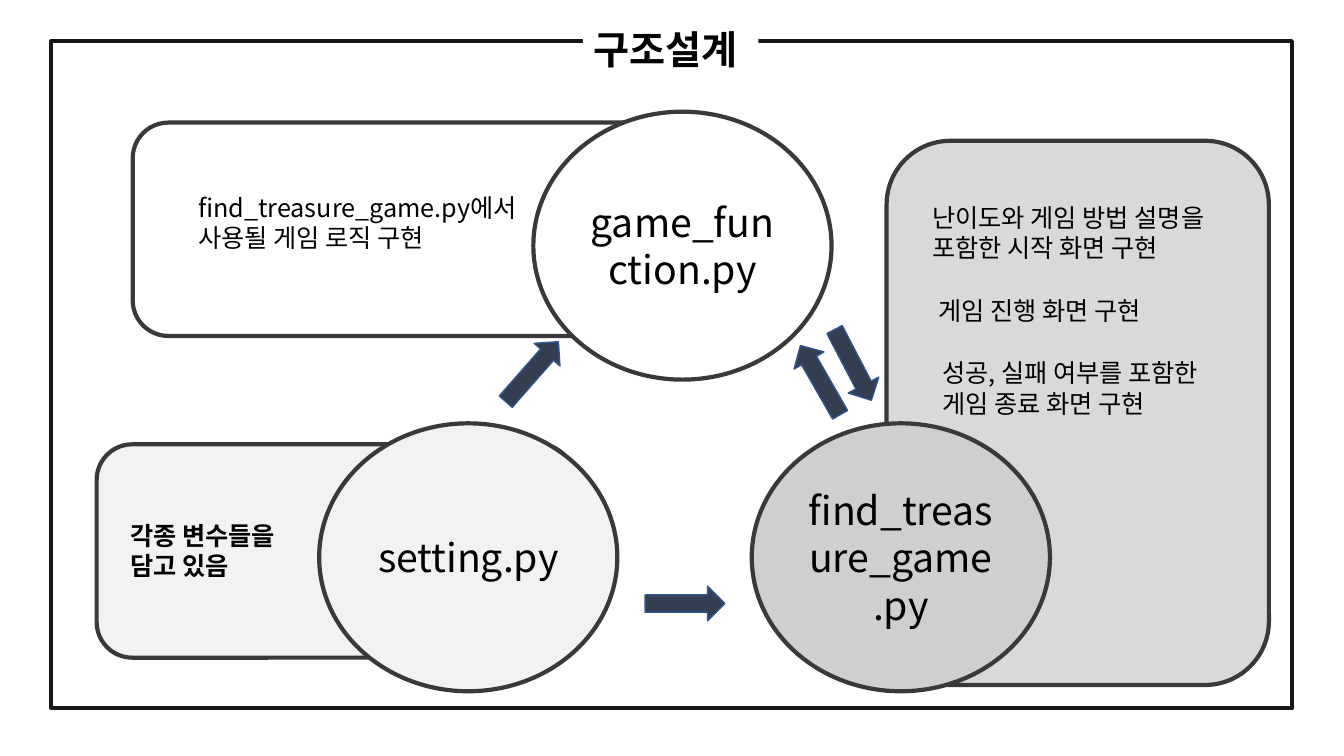
from lxml.etree import SubElement
from pptx import Presentation
from pptx.dml.color import RGBColor
from pptx.enum.shapes import MSO_SHAPE
from pptx.enum.text import MSO_ANCHOR, MSO_AUTO_SIZE, PP_ALIGN
from pptx.oxml.ns import qn
from pptx.util import Inches, Pt

COLUMNS, ROWS = 160, 90


def color(code):
    """Turn a hex string into a colour."""
    return RGBColor.from_string(code)


class Diagram:
    """Hold the style and the slide, and draw on a grid of columns and rows."""

    font = "Noto Sans CJK KR"
    ink, outline, frame_line = "000000", "3B3838", "181717"
    arrow_fill, arrow_line = "333F50", "325491"
    label_size, note_size = 28, 18
    circle_size, arrow_size = (35.5, 31.9), (9.5, 4.1)

    def __init__(self, deck):
        """Add a title-only slide to the deck."""
        self.page = deck.slides.add_slide(deck.slide_layouts[5])
        self.column = deck.slide_width / COLUMNS
        self.row = deck.slide_height / ROWS

    def place(self, left, top, width, height):
        """Convert grid units to slide lengths."""
        return (round(left * self.column), round(top * self.row),
                round(width * self.column), round(height * self.row))

    def add_lines(self, box, lines, size, align=PP_ALIGN.LEFT,
                  anchor=MSO_ANCHOR.TOP, bold=False):
        """Add one paragraph for each line."""
        frame = box.text_frame
        frame.word_wrap = True
        frame.auto_size = MSO_AUTO_SIZE.NONE
        frame.vertical_anchor = anchor
        for index, line in enumerate(lines):
            para = frame.add_paragraph() if index else frame.paragraphs[0]
            para.alignment = align
            para.line_spacing = 1.0
            para.space_before = Pt(0)
            span = para.add_run()
            span.text = line
            span.font.name = self.font
            span.font.size = Pt(size)
            span.font.bold = bold
            span.font.color.rgb = color(self.ink)
            east_asian = SubElement(span._r.get_or_add_rPr(), qn("a:ea"))
            east_asian.set("typeface", self.font)

    def shape(self, kind, area, fill, line, weight=3, turn=0):
        """Draw a preset shape, hollow when fill is None."""
        box = self.page.shapes.add_shape(kind, *self.place(*area))
        box.shadow.inherit = False
        box.rotation = turn
        if fill:
            box.fill.solid()
            box.fill.fore_color.rgb = color(fill)
        else:
            box.fill.background()
        box.line.color.rgb = color(line)
        box.line.width = Pt(weight)
        return box

    def panel(self, area, fill, turn=0):
        """Draw a rounded panel behind a module."""
        self.shape(MSO_SHAPE.ROUNDED_RECTANGLE, area, fill, self.outline, turn=turn)

    def module(self, left, top, fill, name):
        """Draw a circle with a module name."""
        circle = self.shape(MSO_SHAPE.OVAL, (left, top, *self.circle_size),
                            fill, self.outline)
        self.add_lines(circle, [name], self.label_size, PP_ALIGN.CENTER,
                       MSO_ANCHOR.MIDDLE)

    def arrow(self, left, top, turn):
        """Draw a block arrow turned by some degrees."""
        self.shape(MSO_SHAPE.RIGHT_ARROW, (left, top, *self.arrow_size),
                   self.arrow_fill, self.arrow_line, 1, turn)

    def note(self, area, lines, bold=False):
        """Add a text box."""
        box = self.page.shapes.add_textbox(*self.place(*area))
        self.add_lines(box, lines, self.note_size, bold=bold)

    def frame(self, area):
        """Draw the hollow border of the slide."""
        self.shape(MSO_SHAPE.RECTANGLE, area, None, self.frame_line)

    def title(self, area, text):
        """Set the title in front of the border."""
        box = self.page.shapes.title
        box.left, box.top, box.width, box.height = self.place(*area)
        box.fill.solid()
        box.fill.fore_color.rgb = color("FFFFFF")
        self.add_lines(box, [text], self.label_size, bold=True)
        self.page.shapes.element.append(box.element)


def main():
    """Build the structure design slide."""
    deck = Presentation()
    deck.slide_width, deck.slide_height = Inches(13.33), Inches(7.5)
    diagram = Diagram(deck)

    diagram.panel((95.9, 26.4, 64.8, 45.5), "D9D9D9", turn=270)
    diagram.panel((11.5, 52.9, 56.9, 25.4), "F2F2F2")
    diagram.panel((15.8, 14.6, 64.8, 25.4), "FFFFFF")

    diagram.module(38, 50.4, "F2F2F2", "setting.py")
    diagram.module(63.5, 13.3, "FFFFFF", "game_function.py")
    diagram.module(89.5, 50.4, "D0CECE", "find_treasure_game.py")

    for left, top, turn in [(58.6, 42.2, 311.3), (76.8, 69.8, 0),
                            (92.9, 43.2, 240.2), (96.8, 41.4, 62.5)]:
        diagram.arrow(left, top, turn)

    diagram.frame((6.1, 4.9, 147.7, 79.4))
    diagram.title((69.4, 2.4, 20.9, 6.8), "구조설계")

    diagram.note((14.3, 61.3, 22.2, 8.5), ["각종 변수들을", "담고 있음"], bold=True)
    diagram.note((109.8, 23.5, 40.1, 8.5),
                 ["난이도와 게임 방법 설명을", "포함한 시작 화면 구현"])
    diagram.note((110.5, 34.6, 39.8, 4.8), ["게임 진행 화면 구현"])
    diagram.note((111, 42, 47.3, 8.5),
                 ["성공, 실패 여부를 포함한", "게임 종료 화면 구현"])
    diagram.note((22.4, 22.3, 41.6, 8.5),
                 ["find_treasure_game.py에서", "사용될 게임 로직 구현"])
    deck.save("out.pptx")


if __name__ == "__main__":
    main()
